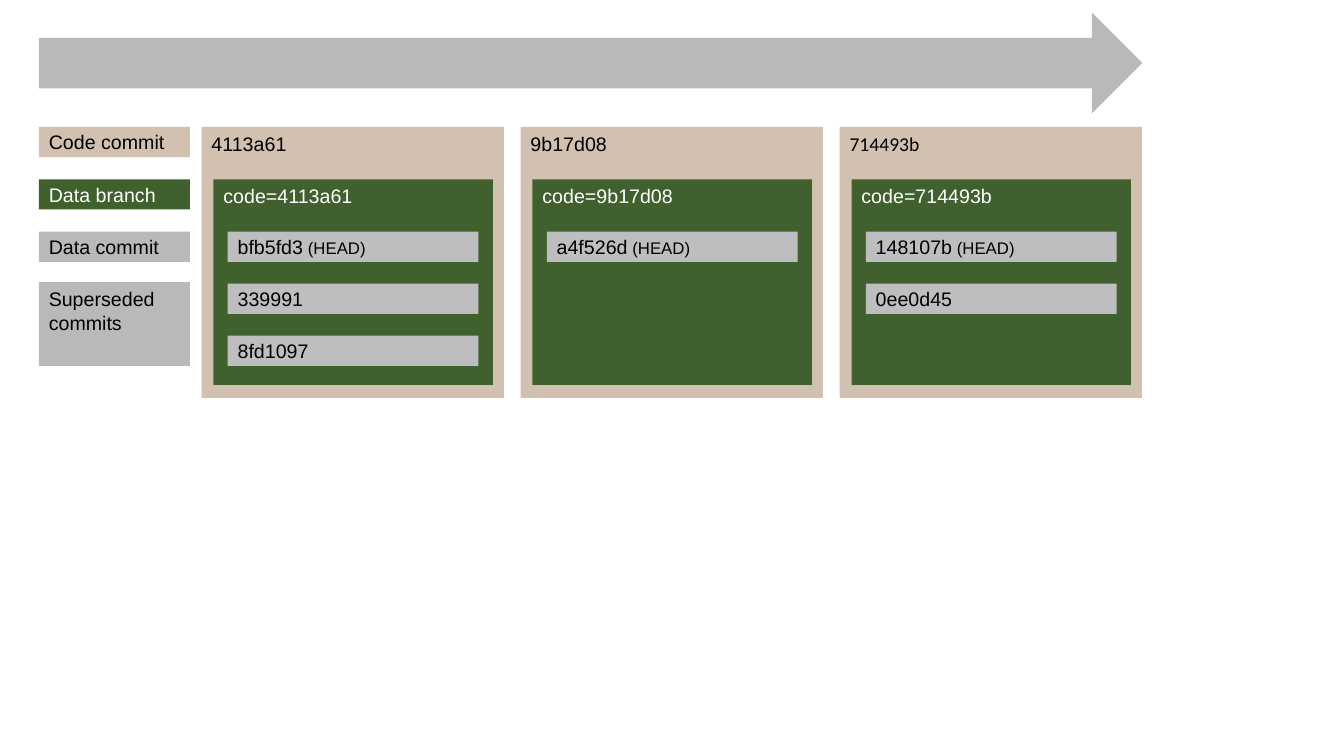
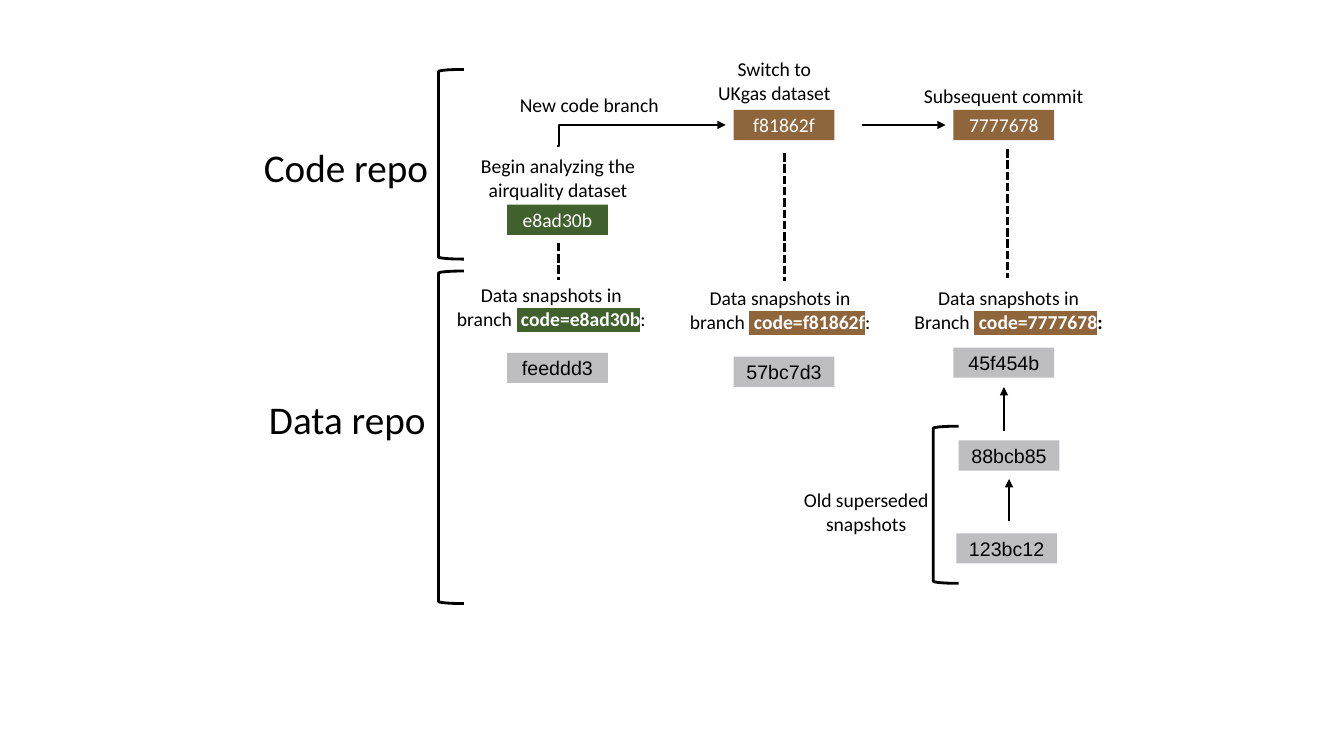
from pptx import Presentation
from pptx.dml.color import RGBColor
from pptx.enum.dml import MSO_LINE
from pptx.enum.shapes import MSO_CONNECTOR, MSO_SHAPE
from pptx.enum.text import MSO_ANCHOR, PP_ALIGN
from pptx.oxml.ns import qn
from pptx.util import Cm, Pt
from lxml.etree import SubElement

COLORS = {
    "brown": "8F653C",
    "green": "40612E",
    "slate": "505059",
    "gray": "BEBEC1",
    "black": "000000",
    "white": "FFFFFF",
}
BOX_HEIGHT = 0.76
LINE_HEIGHT = 0.86
TWO_LINES = 1.44


def add_box(slide, box, paragraphs=(), preset=MSO_SHAPE.RECTANGLE, fill=None,
            opacity=100, font="Arial", size=14, color="black",
            align=PP_ALIGN.LEFT, anchor=MSO_ANCHOR.MIDDLE, wrap=True):
    """Add a shape, or a text box if fill is None; a run is a string or (text, format)."""
    place = [Cm(length) for length in box]
    if fill:
        shape = slide.shapes.add_shape(preset, *place)
        shape.shadow.inherit = False
        shape.line.fill.background()
        shape.fill.solid()
        shape.fill.fore_color.rgb = RGBColor.from_string(COLORS[fill])
        if opacity < 100:
            fill_color = shape.element.spPr.find(qn("a:solidFill"))[0]
            SubElement(fill_color, qn("a:alpha"), val=str(opacity * 1000))
    else:
        shape = slide.shapes.add_textbox(*place)
    frame = shape.text_frame
    frame.word_wrap = wrap
    frame.vertical_anchor = anchor
    for index, runs in enumerate(paragraphs):
        paragraph = frame.add_paragraph() if index else frame.paragraphs[0]
        paragraph.alignment = align
        for item in [runs] if isinstance(runs, str) else runs:
            text, style = (item, {}) if isinstance(item, str) else item
            run = paragraph.add_run()
            run.text = text
            run.font.name = font
            run.font.size = Pt(style.get("size", size))
            run.font.bold = style.get("bold", False)
            run.font.color.rgb = RGBColor.from_string(COLORS[style.get("color", color)])
            if "highlight" in style:
                properties = run.font._element
                highlight = SubElement(properties, qn("a:highlight"))
                SubElement(highlight, qn("a:srgbClr"), val=COLORS[style["highlight"]])
                properties.find(qn("a:solidFill")).addnext(highlight)


def add_line(slide, start, end, kind=MSO_CONNECTOR.STRAIGHT, width=1.5, dashed=False, bend=None):
    """Add a black line, either dashed or with an arrowhead at its end."""
    points = [Cm(length) for length in (*start, *end)]
    connector = slide.shapes.add_connector(kind, *points)
    connector.line.width = Pt(width)
    connector.line.color.rgb = RGBColor.from_string(COLORS["black"])
    properties = connector.element.spPr
    if dashed:
        connector.line.dash_style = MSO_LINE.SQUARE_DOT
    else:
        SubElement(properties.find(qn("a:ln")), qn("a:tailEnd"), type="triangle")
    if bend is not None:
        guides = properties.find(qn("a:prstGeom")).find(qn("a:avLst"))
        SubElement(guides, qn("a:gd"), name="adj1", fmla=f"val {bend}")
    SubElement(properties, qn("a:effectLst"))


presentation = Presentation()
presentation.slide_width = Cm(33.87)
presentation.slide_height = Cm(19.05)
blank_layout = presentation.slide_layouts[6]

# Slide 1: data branches along the code history
slide = presentation.slides.add_slide(blank_layout)
LEGEND_LEFT = 0.98
CODE_TOP, BRANCH_TOP, COMMIT_TOP = 3.2, 4.52, 5.84
COLUMN_LEFT, COLUMN_STEP, COMMIT_STEP = 5.08, 8.04, 1.31

add_box(slide, (LEGEND_LEFT, 0.32, 27.81, 2.54), preset=MSO_SHAPE.RIGHT_ARROW,
        fill="slate", opacity=40)

columns = [
    ("4113a61", "Arial", ["bfb5fd3", "339991", "8fd1097"]),
    ("9b17d08", "Arial", ["a4f526d"]),
    ("714493b", "Calibri", ["148107b", "0ee0d45"]),
]
for column, (code, code_font, commits) in enumerate(columns):
    left = COLUMN_LEFT + column * COLUMN_STEP
    add_box(slide, (left, CODE_TOP, 7.62, 6.83), [code], fill="brown", opacity=40,
            font=code_font, anchor=MSO_ANCHOR.TOP)
    add_box(slide, (left + 0.3, BRANCH_TOP, 7.04, 5.18), [f"code={code}"],
            fill="green", color="white", anchor=MSO_ANCHOR.TOP)
    for row, commit in enumerate(commits):
        runs = [commit] if row else [commit, (" (HEAD)", {"size": 12})]
        add_box(slide, (left + 0.66, COMMIT_TOP + row * COMMIT_STEP, 6.32, BOX_HEIGHT),
                [runs], fill="gray")

legend = [
    (CODE_TOP, BOX_HEIGHT, ["Code commit"], "brown", 40, "black", MSO_ANCHOR.MIDDLE),
    (BRANCH_TOP, BOX_HEIGHT, ["Data branch"], "green", 100, "white", MSO_ANCHOR.MIDDLE),
    (COMMIT_TOP, BOX_HEIGHT, ["Data commit"], "slate", 40, "black", MSO_ANCHOR.MIDDLE),
    (7.11, 2.11, ["Superseded", "commits"], "slate", 40, "black", MSO_ANCHOR.TOP),
]
for top, height, label, fill, opacity, color, anchor in legend:
    add_box(slide, (LEGEND_LEFT, top, 3.81, height), label, fill=fill,
            opacity=opacity, color=color, anchor=anchor)

# Slide 2: code repo above, data repo below
slide = presentation.slides.add_slide(blank_layout)

code_commits = [
    ("e8ad30b", 12.78, 5.16, "green"),
    ("f81862f", 18.49, 2.77, "brown"),
    ("7777678", 24.03, 2.77, "brown"),
]
for code, left, top, fill in code_commits:
    add_box(slide, (left, top, 2.54, BOX_HEIGHT), [code], fill=fill, font="Calibri",
            color="white", align=PP_ALIGN.CENTER)

snapshots = [
    ("feeddd3", 12.78, 8.89),
    ("57bc7d3", 18.49, 8.99),
    ("45f454b", 24.03, 8.76),
    ("88bcb85", 24.16, 11.1),
    ("123bc12", 24.1, 13.44),
]
for snapshot, left, top in snapshots:
    add_box(slide, (left, top, 2.54, BOX_HEIGHT), [snapshot], fill="gray",
            align=PP_ALIGN.CENTER)

captions = [
    ((11.84, 3.76, 4.45, TWO_LINES), ["Begin analyzing the", "airquality dataset"], 14),
    ((17.75, 1.32, 3.53, TWO_LINES), ["Switch to", "UKgas dataset"], 14),
    ((12.85, 2.21, 4.04, LINE_HEIGHT), ["New code branch"], 14),
    ((22.96, 1.98, 4.67, LINE_HEIGHT), ["Subsequent commit"], 14),
    ((19.99, 12.17, 3.68, TWO_LINES), ["Old superseded", "snapshots"], 14),
    ((6.4, 3.48, 4.7, TWO_LINES), ["Code repo"], 28),
    ((6.53, 9.83, 4.5, TWO_LINES), ["Data repo"], 28),
]
for box, lines, size in captions:
    align = PP_ALIGN.CENTER if len(lines) > 1 or "Subsequent commit" in lines else PP_ALIGN.LEFT
    add_box(slide, box, lines, font="Calibri", size=size, align=align,
            anchor=MSO_ANCHOR.TOP, wrap=False)

branch_notes = [
    ((11.23, 7.01, 5.33, TWO_LINES), "branch ", "e8ad30b", "green", False),
    ((17.12, 7.09, 5.08, TWO_LINES), "branch ", "f81862f", "brown", False),
    ((22.78, 7.09, 5.28, TWO_LINES), "Branch ", "7777678", "brown", True),
]
for box, word, code, highlight, bold_colon in branch_notes:
    branch = (f" code={code}", {"color": "white", "bold": True, "highlight": highlight})
    add_box(slide, box, ["Data snapshots in", [word, branch, (":", {"bold": bold_colon})]],
            font="Calibri", align=PP_ALIGN.CENTER, anchor=MSO_ANCHOR.TOP, wrap=False)

for left, top, height in [(11.05, 1.75, 4.78), (11.05, 6.83, 8.38), (23.52, 10.74, 3.96)]:
    bracket = slide.shapes.add_shape(MSO_SHAPE.LEFT_BRACKET, Cm(left), Cm(top), Cm(0.64), Cm(height))
    bracket.shadow.inherit = False
    bracket.fill.background()
    bracket.line.width = Pt(2)
    bracket.line.color.rgb = RGBColor.from_string(COLORS["black"])

add_line(slide, (14.05, 3.68), (18.29, 3.15), kind=MSO_CONNECTOR.ELBOW, bend=900)
add_line(slide, (21.72, 3.15), (23.83, 3.15))
for x, bottom, top in [(25.3, 10.85, 9.75), (25.43, 13.13, 12.07)]:
    add_line(slide, (x, bottom), (x, top))
for x, top, bottom in [(14.07, 6.12, 7.06), (19.76, 3.86, 7.09), (25.4, 3.76, 7.01)]:
    add_line(slide, (x, top), (x, bottom), width=2, dashed=True)

presentation.save("out.pptx")
